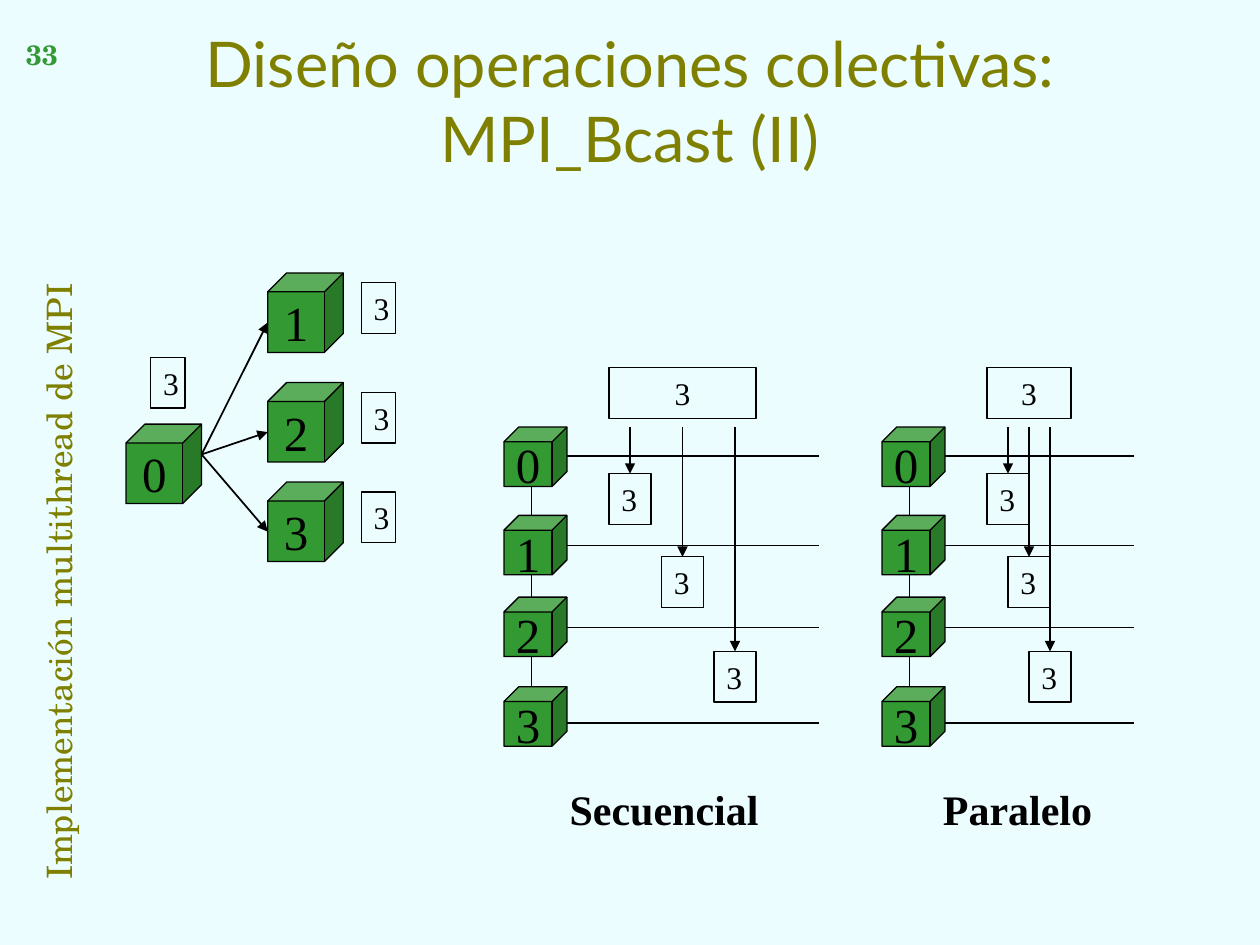
from lxml.etree import SubElement
from pptx import Presentation
from pptx.dml.color import RGBColor
from pptx.enum.shapes import MSO_CONNECTOR, MSO_SHAPE
from pptx.enum.text import MSO_ANCHOR, MSO_AUTO_SIZE, PP_ALIGN
from pptx.oxml.ns import qn
from pptx.util import Pt

OLIVE = RGBColor(0x80, 0x80, 0x00)
GREEN = RGBColor(0x33, 0x99, 0x33)
BLACK = RGBColor(0x00, 0x00, 0x00)
PALE_BLUE = RGBColor(0xEB, 0xFD, 0xFF)
SERIF, SCHOLA, SANS = "Times New Roman", "TeX Gyre Schola", "Lato"
DATUM_HEIGHT = 29


def write(shape, text, size, face, colour, align=PP_ALIGN.LEFT, bold=False,
          wrap=True, anchor=MSO_ANCHOR.TOP):
    """Fill a shape with one formatted paragraph."""
    frame = shape.text_frame
    frame.text = text
    frame.word_wrap = wrap
    frame.auto_size = MSO_AUTO_SIZE.NONE
    frame.vertical_anchor = anchor
    paragraph = frame.paragraphs[0]
    paragraph.alignment = align
    font = paragraph.font
    font.size, font.name, font.bold = Pt(size), face, bold
    font.color.rgb = colour


def add_outlined(shapes, preset, left, top, width, height):
    """Add a preset shape with a thin black outline."""
    shape = shapes.add_shape(preset, Pt(left), Pt(top), Pt(width), Pt(height))
    shape.shadow.inherit = False
    shape.line.color.rgb = BLACK
    shape.line.width = Pt(0.75)
    return shape


def add_process(shapes, rank, left, top, width, height):
    """Add the green cube of one process."""
    cube = add_outlined(shapes, MSO_SHAPE.CUBE, left, top, width, height)
    cube.fill.solid()
    cube.fill.fore_color.rgb = GREEN
    write(cube, str(rank), 28, SERIF, BLACK, PP_ALIGN.CENTER,
          wrap=False, anchor=MSO_ANCHOR.MIDDLE)


def add_datum(shapes, left, top, width, align=PP_ALIGN.LEFT):
    """Add an unfilled box holding the broadcast value."""
    datum = add_outlined(shapes, MSO_SHAPE.RECTANGLE, left, top, width, DATUM_HEIGHT)
    datum.fill.background()
    write(datum, "3", 18, SERIF, BLACK, align)
    return datum


def add_line(shapes, x1, y1, x2, y2, weight=0.75, arrow=False):
    """Add a straight black line, optionally with an arrowhead at its end."""
    line = shapes.add_connector(MSO_CONNECTOR.STRAIGHT, Pt(x1), Pt(y1), Pt(x2), Pt(y2))
    line.line.color.rgb = BLACK
    line.line.width = Pt(weight)
    properties = line._element.spPr
    if arrow:
        SubElement(line.line._get_or_add_ln(), qn("a:tailEnd"), type="triangle")
    SubElement(properties, qn("a:effectLst"))
    return line


def add_broadcast_tree(slide, left, top):
    """Draw process 0 sending its value to processes 1 to 3."""
    shapes = slide.shapes.add_group_shape().shapes
    cube_width, cube_height = 43.2, 45.4
    receiver_left = left + 81
    receiver_tops = [top, top + 62.6, top + 119.5]
    root_top = top + 86.4
    for rank, receiver_top in enumerate(receiver_tops, 1):
        add_process(shapes, rank, receiver_left, receiver_top, cube_width, cube_height)
    add_process(shapes, 0, left, root_top, cube_width, cube_height)
    for receiver_top in receiver_tops:
        add_line(shapes, left + cube_width, root_top + 17.3,
                 receiver_left, receiver_top + 28.3, weight=1, arrow=True)
    add_datum(shapes, left + 14.2, root_top - 38.2, 19.5)
    for receiver_top in receiver_tops:
        add_datum(shapes, receiver_left + 53.5, receiver_top + 5.6, 19.5)


def add_timeline(slide, left, top, width, step, label, label_left, label_width):
    """Draw the four process lines and the copies delivered step by step."""
    shapes = slide.shapes.add_group_shape().shapes
    cube_tops = [top + offset for offset in (33.8, 84.3, 131, 182.2)]
    line_tops = [top + offset for offset in (50.4, 101.5, 148.3, 203)]
    copy_tops = [top + offset for offset in (60.5, 108, 162)]
    axis, copy_left, copy_width = left + 15.8, left + 60, 24
    add_line(shapes, axis, line_tops[0], axis, line_tops[-1])
    for line_top in line_tops:
        add_line(shapes, axis, line_top, left + width, line_top)
    for rank, cube_top in enumerate(cube_tops):
        add_process(shapes, rank, left, cube_top, 36, 34)
    add_datum(shapes, copy_left, top, copy_width + 2 * step, PP_ALIGN.CENTER)
    for index, copy_top in enumerate(copy_tops):
        x = copy_left + index * step
        datum = add_datum(shapes, x, copy_top, copy_width)
        centre = x + copy_width / 2
        delivery = add_line(shapes, centre, cube_tops[0], centre, copy_top, arrow=True)
        delivery.end_connect(datum, 0)
    caption = shapes.add_textbox(Pt(label_left), Pt(top + 234), Pt(label_width), Pt(36))
    write(caption, label, 24, SERIF, BLACK, PP_ALIGN.CENTER, bold=True)


def add_heading(slide, left, top, width, height):
    """Place the slide title."""
    title = slide.shapes.title
    title.left, title.top, title.width, title.height = map(Pt, (left, top, width, height))
    write(title, "Diseño operaciones colectivas: MPI_Bcast (II)", 36, SANS, OLIVE,
          PP_ALIGN.CENTER, anchor=MSO_ANCHOR.MIDDLE)


def add_margin(slide, centre_x, centre_y, length, thickness):
    """Place the page number and the running title along the left edge."""
    running = slide.shapes.add_textbox(
        Pt(centre_x - length / 2), Pt(centre_y - thickness / 2), Pt(length), Pt(thickness))
    running.rotation = 270
    write(running, "Implementación multithread de MPI", 20, SCHOLA, OLIVE, wrap=False)
    number = slide.shapes.add_textbox(Pt(6), Pt(18), Pt(36), Pt(54))
    write(number, "33", 16, SCHOLA, GREEN, PP_ALIGN.CENTER, bold=True)


def main():
    """Build and save the slide."""
    deck = Presentation()
    deck.slide_width, deck.slide_height = Pt(720), Pt(540)
    slide = deck.slides.add_slide(deck.slide_layouts[5])
    slide.background.fill.solid()
    slide.background.fill.fore_color.rgb = PALE_BLUE
    add_heading(slide, 54, 12, 612, 90)
    add_margin(slide, 27, 287.6, 444, 18)
    add_broadcast_tree(slide, 72, 156)
    add_timeline(slide, 288, 210.2, 180, 30, "Secuencial", 294, 171)
    add_timeline(slide, 504, 210.2, 144, 12, "Paralelo", 515, 133)
    deck.save("out.pptx")


if __name__ == "__main__":
    main()
